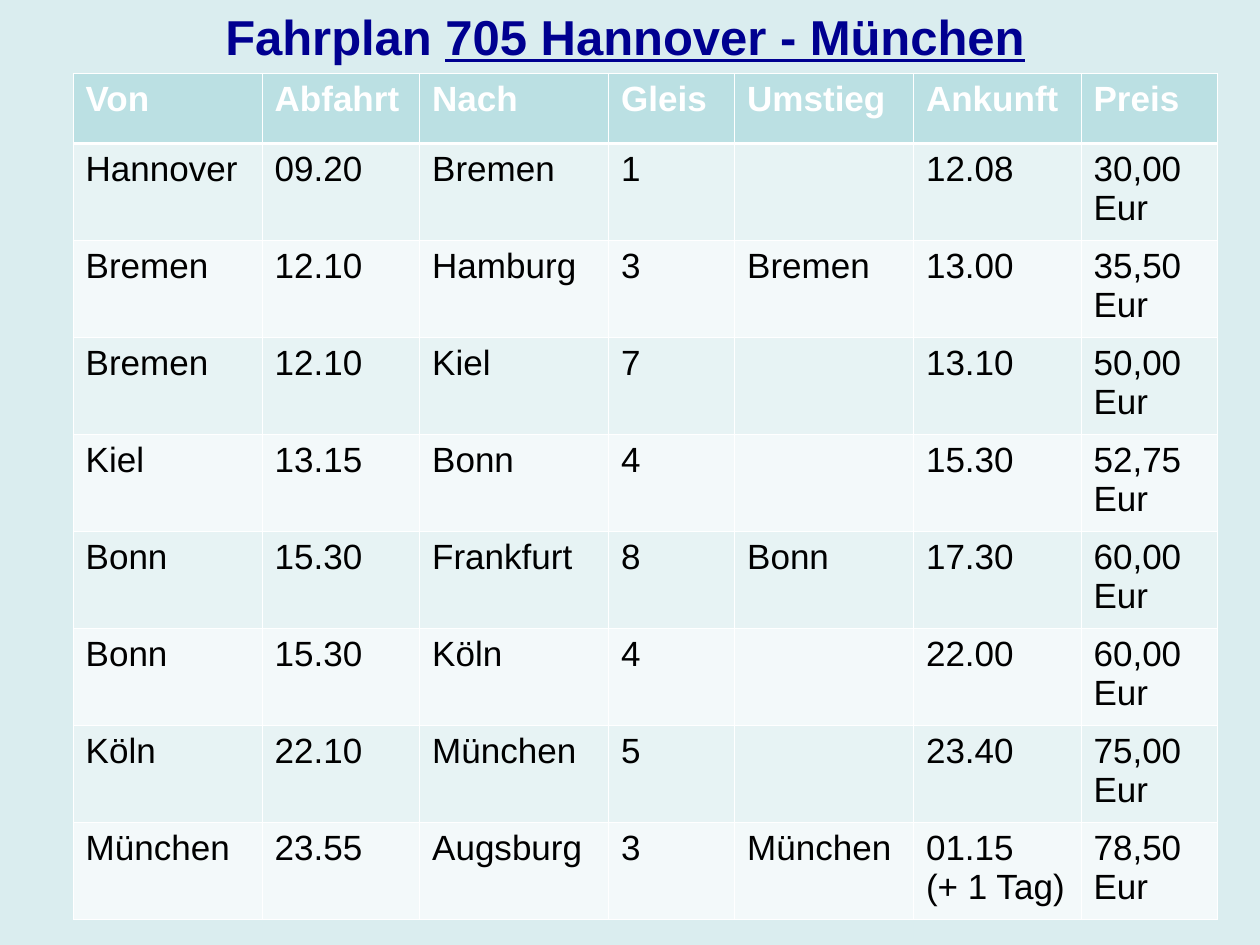
import pptx
import pptx.dml.color
import pptx.enum.text
import pptx.oxml
import pptx.oxml.ns
import pptx.util

PAGE_WIDTH, PAGE_HEIGHT = 10, 7.5
COLUMN_WIDTHS = [1.5, 1.25, 1.5, 1, 1.42, 1.33, 1.08]
HEADER_HEIGHT, ROW_HEIGHT = 0.56, 0.77
THIN, THICK = 0.45, 1.47
TIMETABLE = [
    ["Von", "Abfahrt", "Nach", "Gleis", "Umstieg", "Ankunft", "Preis"],
    ["Hannover", "09.20", "Bremen", "1", "", "12.08", "30,00 Eur"],
    ["Bremen", "12.10", "Hamburg", "3", "Bremen", "13.00", "35,50 Eur"],
    ["Bremen", "12.10", "Kiel", "7", "", "13.10", "50,00 Eur"],
    ["Kiel", "13.15", "Bonn", "4", "", "15.30", "52,75 Eur"],
    ["Bonn", "15.30", "Frankfurt", "8", "Bonn", "17.30", "60,00 Eur"],
    ["Bonn", "15.30", "Köln", "4", "", "22.00", "60,00 Eur"],
    ["Köln", "22.10", "München", "5", "", "23.40", "75,00 Eur"],
    ["München", "23.55", "Augsburg", "3", "München", "01.15\n(+ 1 Tag)", "78,50 Eur"],
]


def paint(target, color):
    """Give a font colour or a solid fill its hex colour."""
    target.rgb = pptx.dml.color.RGBColor.from_string(color)


def style_font(font, color, **values):
    """Set Arial, a colour and any further font values."""
    for name, value in {"name": "Arial", **values}.items():
        setattr(font, name, value)
    paint(font.color, color)


def add_borders(cell, widths):
    """Draw white borders of the given point widths, keyed by side."""
    properties = cell._tc.get_or_add_tcPr()
    for side, width in widths.items():
        properties.append(pptx.oxml.parse_xml(
            f'<a:ln{side} {pptx.oxml.ns.nsdecls("a")} w="{pptx.util.Pt(width)}">'
            f'<a:solidFill><a:srgbClr val="FFFFFF"/></a:solidFill></a:ln{side}>'))


def format_cell(cell, text, row):
    """Fill one timetable cell according to its row."""
    cell.text = text
    header = row == 0
    add_borders(cell, {"L": THIN, "R": THIN,
                       "T": THICK if row == 1 else THIN,
                       "B": THICK if header else THIN})
    cell.fill.solid()
    paint(cell.fill.fore_color,
          "BBE0E3" if header else "E7F3F4" if row % 2 else "F3F9FA")
    for para in cell.text_frame.paragraphs:
        for span in para.runs:
            style_font(span.font, "FFFFFF" if header else "000000",
                       size=pptx.util.Pt(20), bold=header)


def add_timetable(page, left, top):
    """Place the timetable with its top left corner at the given point."""
    heights = [HEADER_HEIGHT] + [ROW_HEIGHT] * (len(TIMETABLE) - 1)
    box = [left, top, sum(COLUMN_WIDTHS), sum(heights)]
    table = page.shapes.add_table(len(heights), len(COLUMN_WIDTHS),
                                  *map(pptx.util.Inches, box)).table
    for column, width in zip(table.columns, COLUMN_WIDTHS):
        column.width = pptx.util.Inches(width)
    for row, (height, texts) in enumerate(zip(heights, TIMETABLE)):
        table.rows[row].height = pptx.util.Inches(height)
        for column, text in enumerate(texts):
            format_cell(table.cell(row, column), text, row)


def set_title(page, left, top, width, height):
    """Move the title placeholder into its box and write the heading."""
    title = page.shapes.title
    box = {"left": left, "top": top, "width": width, "height": height}
    for name, value in box.items():
        setattr(title, name, pptx.util.Inches(value))
    frame = title.text_frame
    layout = {"word_wrap": True,
              "auto_size": pptx.enum.text.MSO_AUTO_SIZE.NONE,
              "vertical_anchor": pptx.enum.text.MSO_ANCHOR.TOP}
    for name, value in layout.items():
        setattr(frame, name, value)
    para = frame.paragraphs[0]
    para.alignment = pptx.enum.text.PP_ALIGN.CENTER
    for text, underline in [("Fahrplan ", False), ("705 Hannover - München", True)]:
        span = para.add_run()
        span.text = text
        style_font(span.font, "000090", size=pptx.util.Pt(28), bold=True,
                   underline=underline)


def main():
    """Build and save the timetable slide."""
    deck = pptx.Presentation()
    deck.slide_width = pptx.util.Inches(PAGE_WIDTH)
    deck.slide_height = pptx.util.Inches(PAGE_HEIGHT)
    page = deck.slides.add_slide(deck.slide_layouts.get_by_name("Title Only"))
    page.background.fill.solid()
    paint(page.background.fill.fore_color, "DAEDEF")
    add_timetable(page, 0.58, 0.58)
    set_title(page, 0.25, 0, 9.42, 0.57)
    deck.save("out.pptx")


if __name__ == "__main__":
    main()
